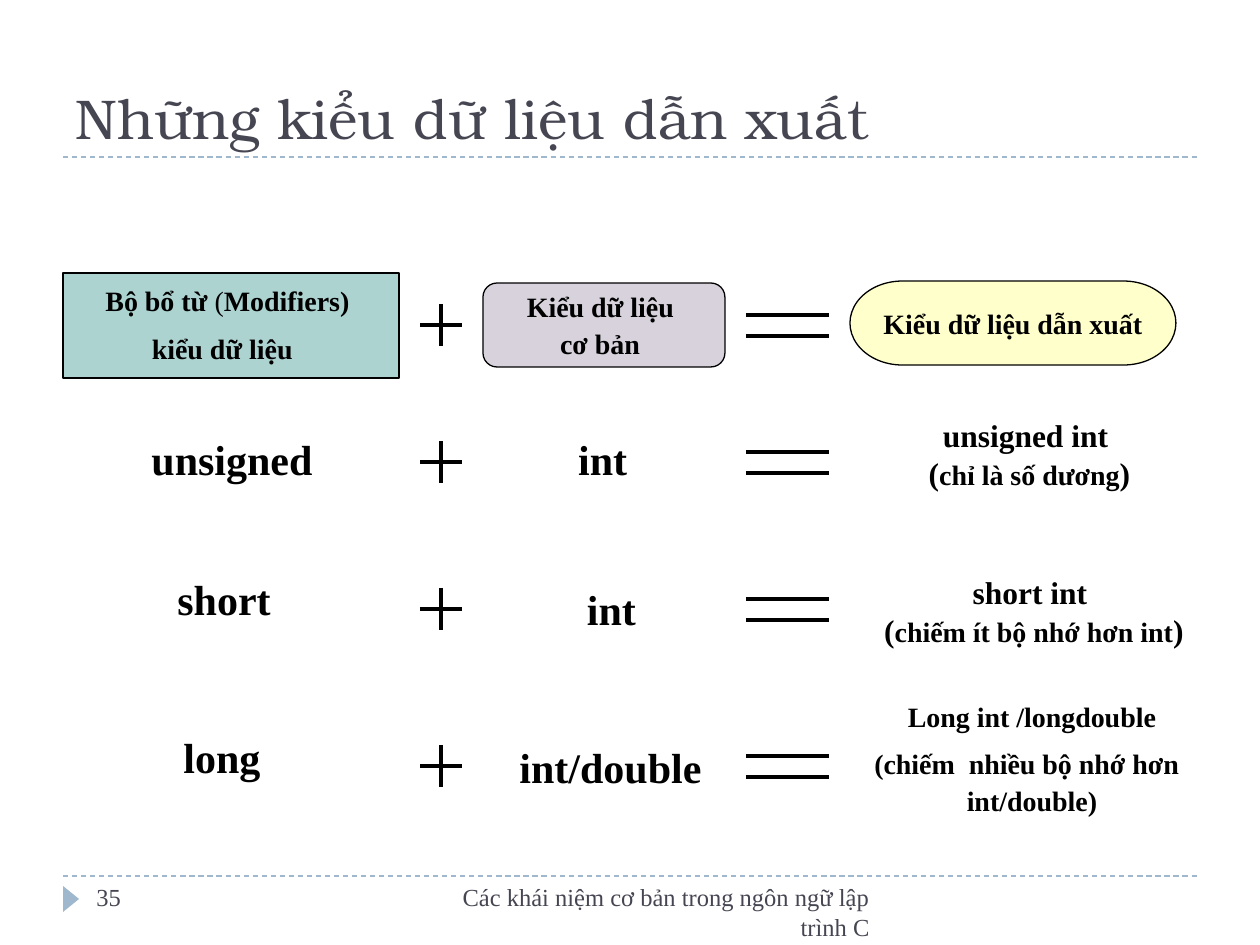
from typing import NamedTuple

from lxml import etree
from pptx import Presentation
from pptx.dml.color import RGBColor
from pptx.enum.dml import MSO_LINE_DASH_STYLE
from pptx.enum.shapes import MSO_CONNECTOR_TYPE, MSO_SHAPE
from pptx.enum.text import MSO_ANCHOR, MSO_AUTO_SIZE, PP_ALIGN
from pptx.oxml.ns import qn
from pptx.util import Emu, Pt

SCALE = 914400 / 126
BLACK = RGBColor(0x00, 0x00, 0x00)
SLATE = RGBColor(0x46, 0x46, 0x53)
STEEL = RGBColor(0x9F, 0xB8, 0xCD)
TEAL = RGBColor(0xAD, 0xD3, 0xD1)
LILAC = RGBColor(0xD7, 0xD2, 0xDC)
CREAM = RGBColor(0xFF, 0xFF, 0xCC)
TITLE_FONT = "TeX Gyre Bonum"
BODY_FONT = "Times New Roman"
LEFT, CENTER, RIGHT = PP_ALIGN.LEFT, PP_ALIGN.CENTER, PP_ALIGN.RIGHT
TOP, MIDDLE, BOTTOM = MSO_ANCHOR.TOP, MSO_ANCHOR.MIDDLE, MSO_ANCHOR.BOTTOM
NO_AUTOFIT = MSO_AUTO_SIZE.NONE
STRAIGHT = MSO_CONNECTOR_TYPE.STRAIGHT
DASH = MSO_LINE_DASH_STYLE.DASH
RECTANGLE = MSO_SHAPE.RECTANGLE
ROUNDED = MSO_SHAPE.ROUNDED_RECTANGLE
TERMINATOR = MSO_SHAPE.FLOWCHART_TERMINATOR
TRIANGLE = MSO_SHAPE.ISOSCELES_TRIANGLE


class Box(NamedTuple):
    left: int
    top: int
    width: int
    height: int


class Run(NamedTuple):
    text: str
    size: int
    bold: bool = True


Lines = list[list[Run]]


class Heading(NamedTuple):
    kind: MSO_SHAPE
    box: Box
    fill: RGBColor
    lines: Lines


class Label(NamedTuple):
    box: Box
    lines: Lines


OPERATOR_ROWS = [325, 462, 609, 766]
HEADINGS = [
    Heading(RECTANGLE, Box(63, 273, 336, 105), TEAL, [
        [Run("Bộ bổ từ", 16), Run(" (", 16, False), Run("Modifiers) ", 16)],
        [Run("kiểu dữ liệu", 16), Run(" ", 24, False), Run(" ", 16)],
    ]),
    Heading(ROUNDED, Box(483, 283, 242, 84), LILAC, [
        [Run("Kiểu dữ liệu ", 16)],
        [Run("cơ bản", 16), Run(" ", 18)],
    ]),
    Heading(TERMINATOR, Box(850, 281, 326, 84), CREAM, [
        [Run("Kiểu dữ liệu dẫn xuất", 16)],
    ]),
]
LABELS = [
    Label(Box(139, 427, 186, 63), [[Run("unsigned", 24)]]),
    Label(Box(566, 427, 84, 63), [[Run("int ", 24)]]),
    Label(Box(872, 410, 315, 88), [
        [Run("unsigned int ", 18)],
        [Run("(", 18), Run("chỉ là số dương", 16), Run(")", 18)],
    ]),
    Label(Box(165, 567, 118, 63), [[Run("short", 24)]]),
    Label(Box(561, 577, 101, 63), [[Run("int", 24)]]),
    Label(Box(872, 567, 324, 88), [
        [Run("short int ", 18)],
        [Run("(", 18), Run("chiếm ít bộ nhớ hơn int", 16), Run(")", 18)],
    ]),
    Label(Box(171, 725, 102, 63), [[Run("long", 24)]]),
    Label(Box(507, 735, 207, 63), [[Run("int/double", 24)]]),
    Label(Box(862, 693, 340, 131), [
        [Run("Long int /longdouble", 16)],
        [Run("(chiếm  nhiều bộ nhớ hơn", 16), Run(" ", 24, False)],
        [Run("int/double)", 16)],
    ]),
]


def px(length: int) -> Emu:
    """Turn pixels into EMU."""
    return Emu(round(length * SCALE))


def place(box: Box) -> list[Emu]:
    """Turn a box into EMU left, top, width and height."""
    return [px(length) for length in box]


def write(shape, lines: Lines, *, color=BLACK, font=BODY_FONT, align=CENTER,
          anchor=TOP, wrap=False) -> None:
    """Fill a shape with formatted lines of runs."""
    frame = shape.text_frame
    frame.auto_size = NO_AUTOFIT
    frame.word_wrap = wrap
    frame.vertical_anchor = anchor
    for index, line in enumerate(lines):
        paragraph = frame.add_paragraph() if index else frame.paragraphs[0]
        paragraph.alignment = align
        for part in line:
            run = paragraph.add_run()
            run.text = part.text
            run.font.name = font
            run.font.size = Pt(part.size)
            run.font.bold = part.bold
            run.font.color.rgb = color


def add_text(slide, box: Box, lines: Lines, **text_format) -> None:
    """Add a text box."""
    write(slide.shapes.add_textbox(*place(box)), lines, **text_format)


def add_line(slide, start: tuple[int, int], end: tuple[int, int], *,
             color=BLACK, width=2.25, dash=None) -> None:
    """Add a straight line without a shadow."""
    line = slide.shapes.add_connector(
        STRAIGHT, px(start[0]), px(start[1]), px(end[0]), px(end[1]))
    line.line.color.rgb = color
    line.line.width = Pt(width)
    line.line.dash_style = dash
    etree.SubElement(line._element.spPr, qn("a:effectLst"))


def add_operators(slide, middle: int) -> None:
    """Draw the plus and equals signs of one row."""
    add_line(slide, (441, middle - 21), (441, middle + 21))
    add_line(slide, (420, middle), (462, middle))
    for y in (middle - 10, middle + 11):
        add_line(slide, (746, y), (829, y))


def add_filled(slide, kind: MSO_SHAPE, box: Box, fill: RGBColor):
    """Add a plain filled shape without a shadow."""
    shape = slide.shapes.add_shape(kind, *place(box))
    shape.shadow.inherit = False
    shape.fill.solid()
    shape.fill.fore_color.rgb = fill
    return shape


def add_heading(slide, heading: Heading) -> None:
    """Add one outlined column heading."""
    shape = add_filled(slide, heading.kind, heading.box, heading.fill)
    shape.line.color.rgb = BLACK
    shape.line.width = Pt(0.75)
    write(shape, heading.lines, anchor=MIDDLE)


def add_frame(slide) -> None:
    """Add the title, rules, footer and page number."""
    for y in (157, 876):
        add_line(slide, (63, y), (1197, y), color=STEEL, width=0.75, dash=DASH)
    marker = add_filled(slide, TRIANGLE, Box(58, 891, 26, 16), STEEL)
    marker.rotation = 90
    marker.line.fill.background()
    title = slide.shapes.title
    title.left, title.top, title.width, title.height = place(Box(63, 31, 1134, 126))
    write(title, [[Run("Những kiểu dữ liệu dẫn xuất", 32, False)]], color=SLATE,
          font=TITLE_FONT, align=LEFT, anchor=BOTTOM, wrap=True)
    footer = "Các khái niệm cơ bản trong ngôn ngữ lập trình C"
    add_text(slide, Box(399, 876, 483, 50), [[Run(footer, 14, False)]],
             color=SLATE, align=RIGHT, wrap=True)
    add_text(slide, Box(84, 876, 273, 50), [[Run("35", 14, False)]],
             color=SLATE, align=LEFT, wrap=True)


def main() -> None:
    """Build and save the slide."""
    presentation = Presentation()
    presentation.slide_width, presentation.slide_height = px(1260), px(945)
    slide = presentation.slides.add_slide(presentation.slide_layouts[5])
    add_frame(slide)
    for middle in OPERATOR_ROWS:
        add_operators(slide, middle)
    for heading in HEADINGS:
        add_heading(slide, heading)
    for label in LABELS:
        add_text(slide, label.box, label.lines)
    presentation.save("out.pptx")


if __name__ == "__main__":
    main()
